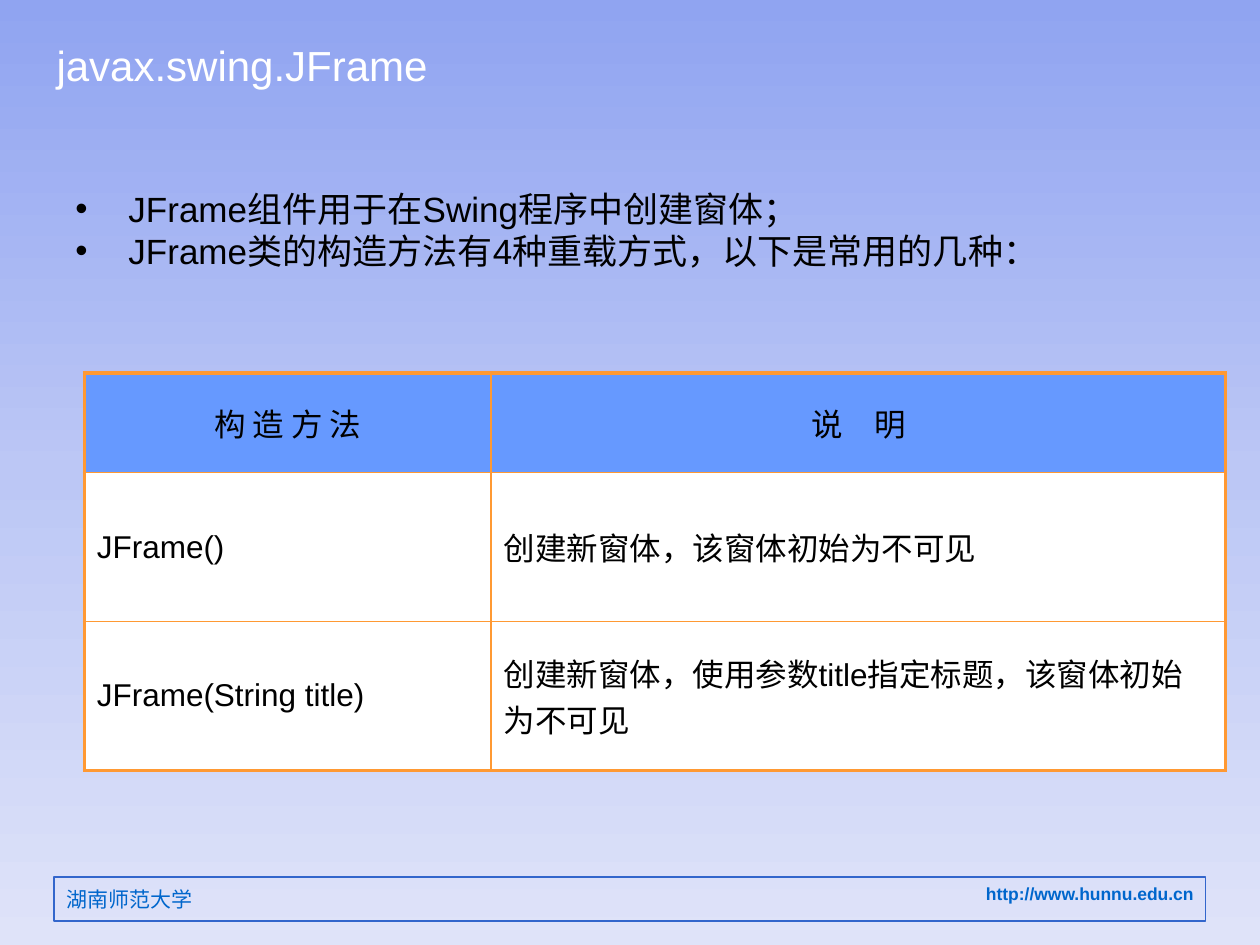
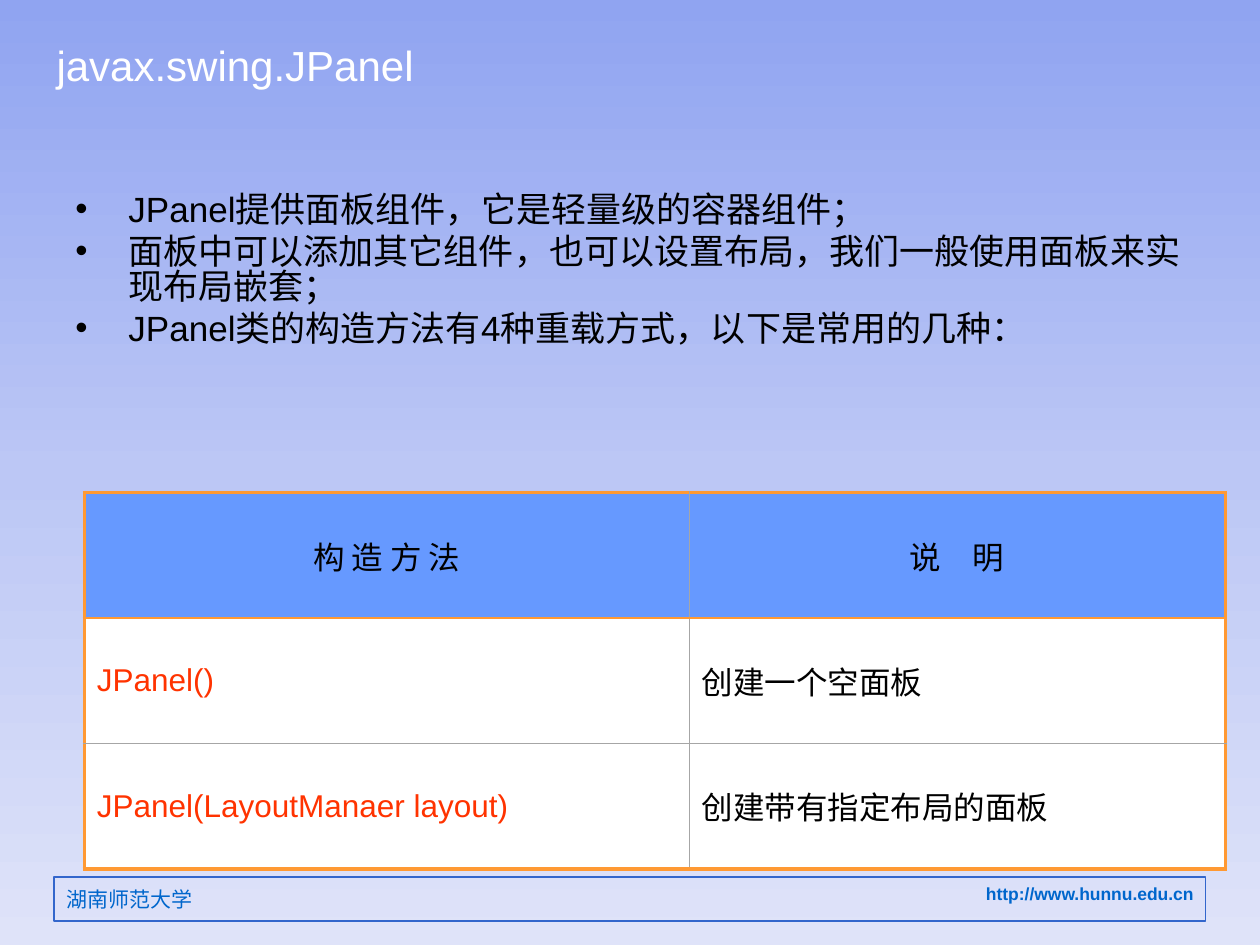
from copy import deepcopy

from lxml.etree import SubElement
from pptx import Presentation
from pptx.dml.color import RGBColor
from pptx.enum.shapes import MSO_SHAPE
from pptx.enum.text import MSO_ANCHOR, PP_ALIGN
from pptx.oxml.ns import qn
from pptx.util import Cm, Pt

LATIN, CODE, CJK = "Arial", "Courier New", "Noto Sans CJK SC"
BLACK, WHITE = "000000", "FFFFFF"
FOOTER_INK, FOOTER_RULE = "0066CC", "3366CC"
HEADER_FILL, ACCENT, SIGNATURE_RED = "6699FF", "FF9933", "FF3300"
SKY = [(0, "90A4F1"), (0.5, "BCC7F5"), (1, "DFE3F9")]

TITLE_BOX = (0.89, 0.53, 14.02, 1.55)
BODY_BOX = (1.27, 3.8, 22.86, 13.2)
FOOTER_BOX = (1.09, 17.68, 23.22, 0.89)
TABLE_LEFT = 1.7
HEADINGS = ("构 造 方 法", "说　明")
OUTER_EDGE = (ACCENT, 2.25)
ORANGE_EDGE = (ACCENT, 1)
GREY_EDGE = ("A6A6A6", 0.25)

TOPICS = [
    {
        "title": "javax.swing.JFrame",
        "points": [
            "JFrame组件用于在Swing程序中创建窗体；",
            "JFrame类的构造方法有4种重载方式，以下是常用的几种：",
        ],
        "constructors": [
            ("JFrame()", "创建新窗体，该窗体初始为不可见"),
            ("JFrame(String title)", "创建新窗体，使用参数title指定标题，该窗体初始为不可见"),
        ],
        "top": 7.52,
        "widths": (8.2, 14.81),
        "heights": (2.01, 3, 3),
        "ink": BLACK,
        "inner_edge": ORANGE_EDGE,
    },
    {
        "title": "javax.swing.JPanel",
        "points": [
            "JPanel提供面板组件，它是轻量级的容器组件；",
            "面板中可以添加其它组件，也可以设置布局，我们一般使用面板来实现布局嵌套；",
            "JPanel类的构造方法有4种重载方式，以下是常用的几种：",
        ],
        "constructors": [
            ("JPanel()", "创建一个空面板"),
            ("JPanel(LayoutManaer layout)", "创建带有指定布局的面板"),
        ],
        "top": 9.93,
        "widths": (12.19, 10.81),
        "heights": (2.53, 2.53, 2.53),
        "ink": SIGNATURE_RED,
        "inner_edge": GREY_EDGE,
    },
]


def color(code):
    """Turn a hex string into a colour."""
    return RGBColor.from_string(code)


def write(paragraph, text, size, ink, latin=LATIN, bold=False):
    """Add one formatted run to a paragraph."""
    run = paragraph.add_run()
    run.text = text
    font = run.font
    font.size, font.name, font.bold = Pt(size), latin, bold
    font.color.rgb = color(ink)
    SubElement(font._element, qn("a:ea"), typeface=CJK)


def add_text_frame(slide, box):
    """Add a wrapping text box and return its frame."""
    frame = slide.shapes.add_textbox(*map(Cm, box)).text_frame
    frame.word_wrap = True
    return frame


def paint_background(master):
    """Give every slide the vertical sky gradient."""
    fill = master.background.fill
    fill.gradient()
    first_stop = next(master.element.iter(qn("a:gs")))
    first_stop.addnext(deepcopy(first_stop))
    fill.gradient_angle = 270
    for stop, (position, code) in zip(fill.gradient_stops, SKY):
        stop.position = position
        stop.color.rgb = color(code)


def add_footer(slide, box):
    """Draw the framed footer with the address and the university."""
    left, top, _, _ = box
    band = slide.shapes.add_shape(MSO_SHAPE.RECTANGLE, *map(Cm, box))
    band.shadow.inherit = False
    band.fill.background()
    band.line.color.rgb = color(FOOTER_RULE)
    band.line.width = Pt(0.75)
    band.text_frame.vertical_anchor = MSO_ANCHOR.TOP
    address = band.text_frame.paragraphs[0]
    address.alignment = PP_ALIGN.RIGHT
    write(address, "http://www.hunnu.edu.cn", 10, FOOTER_INK, bold=True)
    university = add_text_frame(slide, (left, top + 0.07, 10, 0.76))
    write(university.paragraphs[0], "湖南师范大学", 12, FOOTER_INK, CJK)


def add_title(slide, box, title):
    """Write the slide title."""
    frame = add_text_frame(slide, box)
    frame.vertical_anchor = MSO_ANCHOR.MIDDLE
    write(frame.paragraphs[0], title, 24, WHITE)


def add_points(slide, box, points):
    """Write the bulleted points with a hanging indent."""
    frame = add_text_frame(slide, box)
    for index, point in enumerate(points):
        paragraph = frame.add_paragraph() if index else frame.paragraphs[0]
        properties = paragraph._p.get_or_add_pPr()
        properties.set("marL", str(Cm(1.07)))
        properties.set("indent", str(-Cm(1.07)))
        SubElement(properties, qn("a:buFont"), typeface=LATIN)
        SubElement(properties, qn("a:buChar"), char="•")
        paragraph.line_spacing = 0.83
        if index:
            paragraph.space_before = Pt(4)
        write(paragraph, point, 20, BLACK)


def set_borders(cell, edges):
    """Set the left, right, top and bottom borders of a cell."""
    properties = cell._tc.get_or_add_tcPr()
    for index, (side, (code, width)) in enumerate(zip("LRTB", edges)):
        line = SubElement(properties, qn(f"a:ln{side}"), w=str(Pt(width)))
        solid = SubElement(line, qn("a:solidFill"))
        SubElement(solid, qn("a:srgbClr"), val=code)
        properties.insert(index, line)


def add_constructors(slide, topic):
    """Build the table of constructors and their meaning."""
    rows = [HEADINGS, *topic["constructors"]]
    widths, heights = topic["widths"], topic["heights"]
    box = (TABLE_LEFT, topic["top"], sum(widths), sum(heights))
    table = slide.shapes.add_table(len(rows), len(widths), *map(Cm, box)).table
    table.first_row = table.horz_banding = False
    for column, width in zip(table.columns, widths):
        column.width = Cm(width)
    for row, height in zip(table.rows, heights):
        row.height = Cm(height)

    inner = topic["inner_edge"]
    row_edges = [OUTER_EDGE, ORANGE_EDGE, inner, OUTER_EDGE]
    column_edges = [OUTER_EDGE, inner, OUTER_EDGE]
    for r, texts in enumerate(rows):
        for c, text in enumerate(texts):
            cell = table.cell(r, c)
            cell.vertical_anchor = MSO_ANCHOR.MIDDLE
            cell.fill.solid()
            cell.fill.fore_color.rgb = color(WHITE if r else HEADER_FILL)
            set_borders(cell, column_edges[c:c + 2] + row_edges[r:r + 2])
            paragraph = cell.text_frame.paragraphs[0]
            paragraph.alignment = PP_ALIGN.LEFT if r else PP_ALIGN.CENTER
            ink = topic["ink"] if r and c == 0 else BLACK
            write(paragraph, text, 18, ink, LATIN if r else CODE)


def add_topic(presentation, topic):
    """Build one slide about a Swing class."""
    slide = presentation.slides.add_slide(presentation.slide_layouts[6])
    add_footer(slide, FOOTER_BOX)
    add_title(slide, TITLE_BOX, topic["title"])
    add_points(slide, BODY_BOX, topic["points"])
    add_constructors(slide, topic)


def main():
    """Build and save the presentation."""
    presentation = Presentation()
    presentation.slide_width, presentation.slide_height = Cm(25.4), Cm(19.05)
    paint_background(presentation.slide_master)
    for topic in TOPICS:
        add_topic(presentation, topic)
    presentation.save("out.pptx")


if __name__ == "__main__":
    main()
